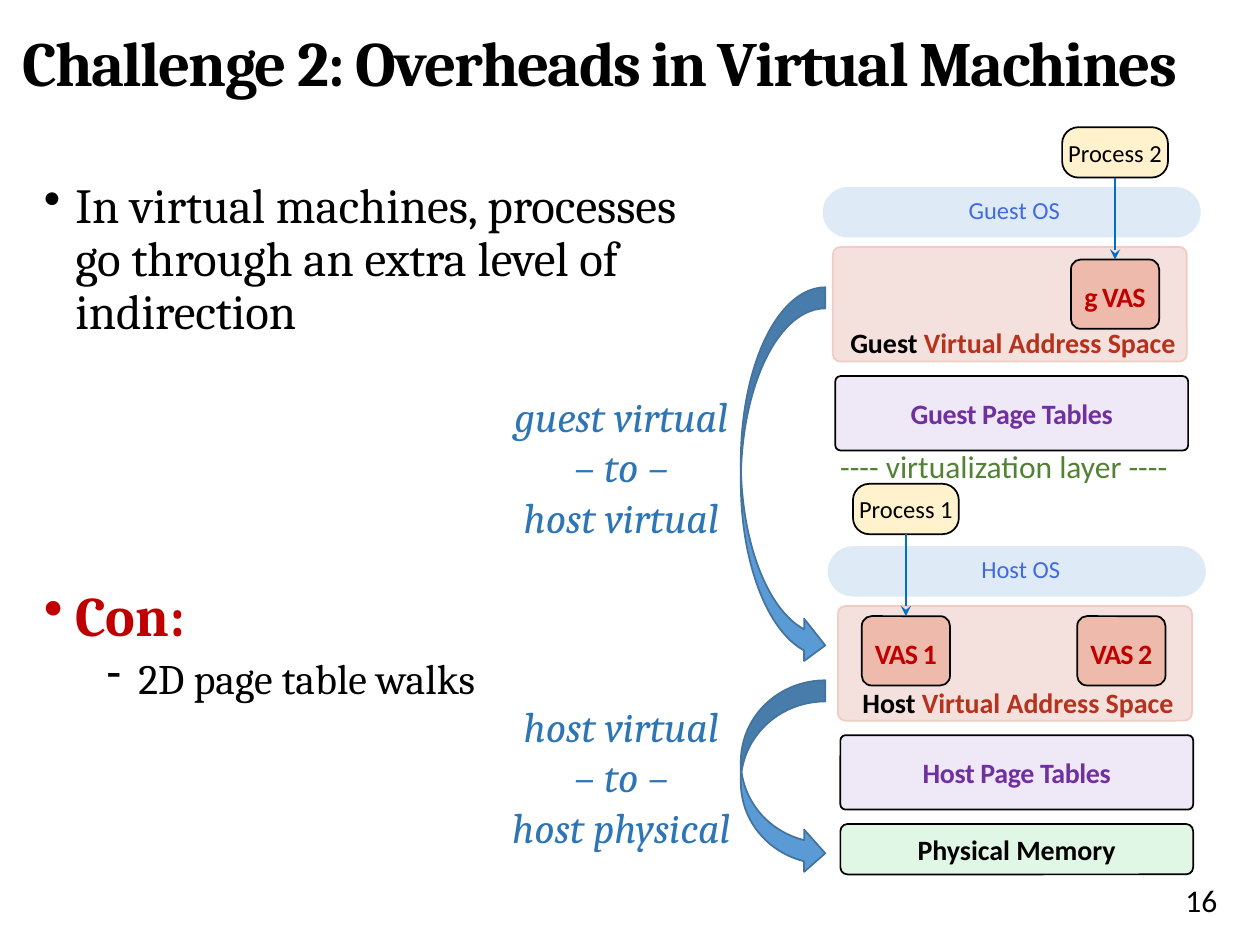
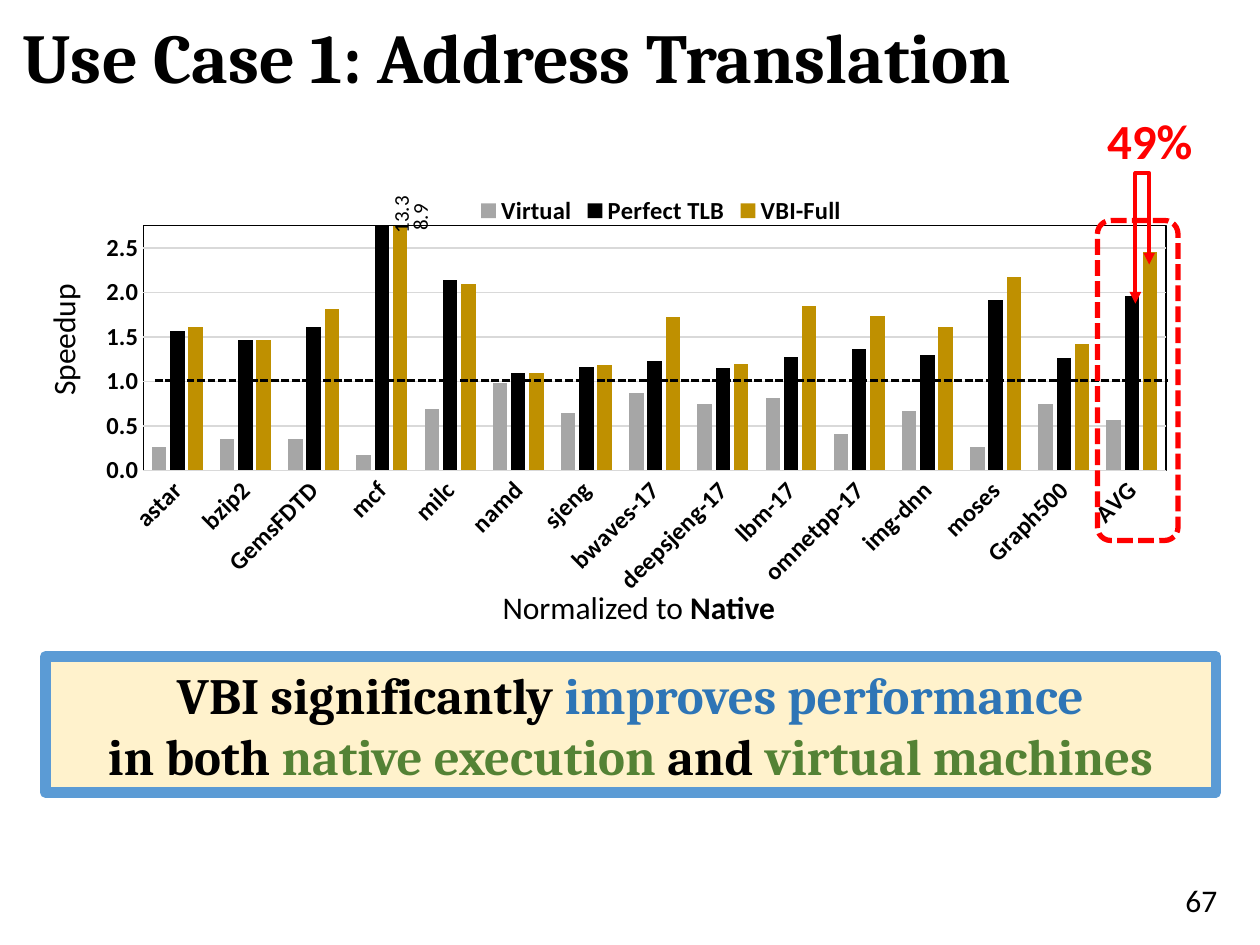
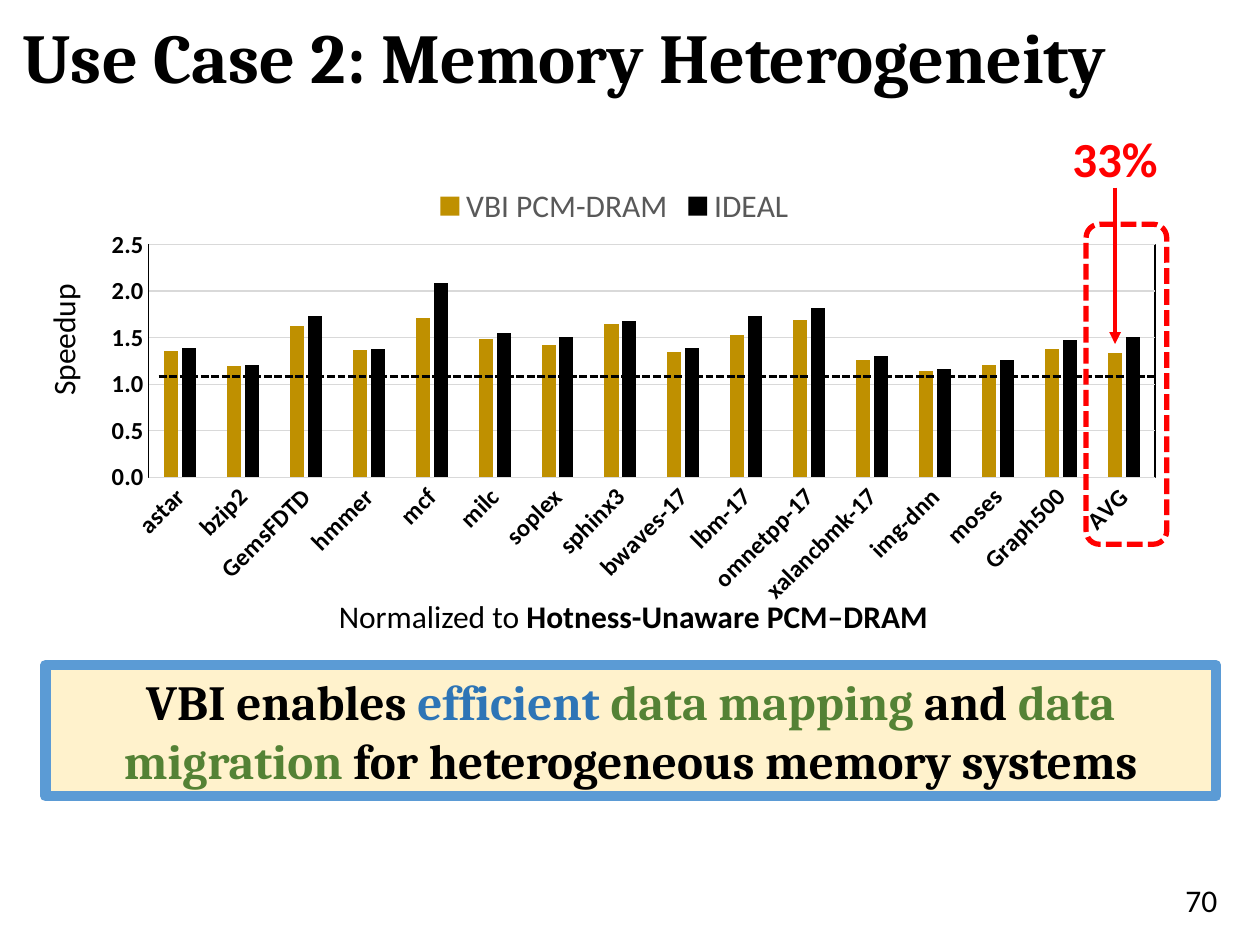
from dataclasses import dataclass

from lxml.etree import SubElement
from pptx import Presentation
from pptx.chart.data import CategoryChartData
from pptx.dml.color import RGBColor
from pptx.enum.chart import XL_CHART_TYPE, XL_LEGEND_POSITION, XL_TICK_MARK
from pptx.enum.dml import MSO_LINE
from pptx.enum.shapes import MSO_CONNECTOR, MSO_SHAPE
from pptx.enum.text import MSO_ANCHOR, PP_ALIGN
from pptx.oxml import parse_xml
from pptx.oxml.ns import nsdecls, qn
from pptx.util import Inches, Pt


@dataclass(frozen=True)
class Theme:
    serif: str = "Cambria"
    sans: str = "Calibri"
    black: str = "000000"
    red: str = "FF0000"
    crimson: str = "C00000"
    rust: str = "B6321D"
    blue: str = "2E75B6"
    green: str = "548235"
    purple: str = "7030A0"
    royal: str = "4169E1"
    arrow: str = "0070C0"
    sky: str = "5B9BD5"
    edge: str = "43739E"
    cream: str = "FFF2CC"
    pale: str = "DEEBF7"
    blush: str = "F4E0DD"
    rim: str = "F1CCC3"
    coral: str = "EDBAAB"
    lilac: str = "EEE8F7"
    mint: str = "E1F7E6"
    gold: str = "BF9000"
    gray: str = "A6A6A6"
    grid: str = "D9D9D9"
    dim: str = "595959"
    tiny: int = 12
    small: int = 14
    label: int = 16
    note: int = 18
    sub: int = 24
    big: int = 28
    head: int = 32


T = Theme()
WIDE, HIGH = Inches(10), Inches(7.5)
COLS, ROWS = 100, 75
MID, LEFT, RIGHT = PP_ALIGN.CENTER, PP_ALIGN.LEFT, PP_ALIGN.RIGHT


# Grid and colour helpers
def col(n):
    return round(WIDE * n / COLS)


def row(n):
    return round(HIGH * n / ROWS)


def place(at):
    x, y, w, h = at
    return col(x), row(y), col(w), row(h)


def rgb(code):
    return RGBColor.from_string(code)


# Text: each line is a string or a list of (words, changes) runs
def style(run, font=T.sans, size=T.note, color=T.black, bold=False,
          italic=False, track=0):
    face = run.font
    face.name, face.size, face.color.rgb = font, Pt(size), rgb(color)
    face.bold, face.italic = bold, italic
    if track:
        run._r.get_or_add_rPr().set("spc", str(round(track * 100)))


def write(frame, *lines, align=LEFT, anchor=MSO_ANCHOR.TOP, inset=None,
          wrap=True, lead=None, **face):
    frame.word_wrap, frame.vertical_anchor = wrap, anchor
    if inset is not None:
        (frame.margin_left, frame.margin_top,
         frame.margin_right, frame.margin_bottom) = map(col, inset)
    for i, line in enumerate(lines):
        para = frame.paragraphs[0] if i == 0 else frame.add_paragraph()
        para.alignment = align
        if lead:
            para.line_spacing = lead
        for words, change in [(line, {})] if isinstance(line, str) else line:
            run = para.add_run()
            run.text = words
            style(run, **{**face, **change})


def text(slide, at, *lines, turn=0, **form):
    box = slide.shapes.add_textbox(*place(at))
    box.rotation = turn
    write(box.text_frame, *lines, **form)


def bullet(para, mark, left, before=0):
    props = para._p.get_or_add_pPr()
    props.set("marL", str(Inches(left)))
    props.set("indent", str(-Inches(0.25)))
    SubElement(props, qn("a:buChar")).set("char", mark)
    para.space_before = Pt(before)


# Shapes and lines
def shape(slide, at, *lines, kind=MSO_SHAPE.ROUNDED_RECTANGLE, fill=None,
          line=None, width=1, dash=None, bend=None, **form):
    item = slide.shapes.add_shape(kind, *place(at))
    item.shadow.inherit = False
    if bend is not None:
        item.adjustments[0] = bend
    if fill:
        item.fill.solid()
        item.fill.fore_color.rgb = rgb(fill)
    else:
        item.fill.background()
    if line:
        item.line.color.rgb, item.line.width = rgb(line), Pt(width)
        if dash:
            item.line.dash_style = dash
    else:
        item.line.fill.background()
    if lines:
        write(item.text_frame, *lines,
              **{"align": MID, "anchor": MSO_ANCHOR.MIDDLE, **form})
    return item


def link(slide, start=(0, 0), stop=(0, 0), kind=MSO_CONNECTOR.STRAIGHT,
         color=T.black, width=1.5, dash=None, head=None, tail=None):
    line = slide.shapes.add_connector(
        kind, col(start[0]), row(start[1]), col(stop[0]), row(stop[1]))
    line.line.color.rgb, line.line.width = rgb(color), Pt(width)
    if dash:
        line.line.dash_style = dash
    for name, tip in (("a:headEnd", head), ("a:tailEnd", tail)):
        if tip:
            SubElement(line.line._ln, qn(name)).set("type", tip)
    SubElement(line._element.spPr, qn("a:effectLst"))
    return line


# Parts shared by the slides
def page(deck, title, number, size=40, **form):
    slide = deck.slides.add_slide(deck.slide_layouts[6])
    text(slide, (0.8, 0.8, 98.3, 8.1), title, font=T.serif, size=size,
         bold=True, anchor=MSO_ANCHOR.MIDDLE, **form)
    text(slide, (60.1, 69.4, 37.5, 4), number, align=RIGHT)
    return slide


def banner(slide, top, high, size, *lines):
    shape(slide, (3.6, top, 92.9, high), *lines, kind=MSO_SHAPE.RECTANGLE,
          fill=T.cream, line=T.sky, width=6, font=T.serif, size=size, bold=True)


# Parts of the virtual machine diagram
def slab(slide, at, words, fill, color, bend=0.07, track=0):
    shape(slide, at, words, fill=fill, line=T.black, bend=bend,
          inset=(0, 0, 0, 0), size=T.label, color=color, bold=True, track=track)


def layer(slide, name, left, top, pad):
    shape(slide, (left - 0.8, top - 4.75, 30, 4), f"{name} OS", fill=T.pale,
          bend=0.5, align=LEFT, inset=(pad, 0, 0, 0), lead=0.8,
          size=T.small, color=T.royal)
    shape(slide, (left, top, 28.1, 9.1),
          [(name, {}), (" Virtual Address Space", {"color": T.rust})],
          fill=T.blush, line=T.rim, bend=0.065, anchor=MSO_ANCHOR.BOTTOM,
          inset=(0.5, 0, 0, 0), lead=0.8, size=T.label, bold=True)
    slab(slide, (left + 0.2, top + 10.25, 28, 5.9), f"{name} Page Tables",
         T.lilac, T.purple, track=-0.2)


def space(slide, name, mid, top):
    return shape(slide, (mid - 3.5, top, 7, 5.5), name, fill=T.coral,
                 line=T.black, bend=0.141, inset=(0, 0.4, 0, 0),
                 size=T.label, color=T.crimson, bold=True, track=-0.5)


def process(slide, name, mid, top, target):
    box = shape(slide, (mid - 4.2, top, 8.4, 4), name, fill=T.cream,
                line=T.black, bend=0.323, inset=(0, 0, 0, 0), wrap=False,
                size=T.small)
    line = link(slide, color=T.arrow, tail="stealth")
    line.begin_connect(box, 2)
    line.end_connect(target, 0)


def mapping(slide, top, high, label, *lines):
    shape(slide, (58.8, top, 6.7, high), kind=MSO_SHAPE.CURVED_RIGHT_ARROW,
          fill=T.sky, line=T.edge)
    text(slide, (37.4, label, 23.8, 13.1), *lines, align=MID,
         font=T.serif, size=T.sub, color=T.blue, italic=True)


# Speedup charts
def layout(x, y, w=None, h=None):
    keys = dict(x=x, y=y, w=w, h=h)
    target = '<c:layoutTarget val="inner"/>' if w else ""
    sizes = "".join(f'<c:{k} val="{v}"/>' for k, v in keys.items() if v)
    return parse_xml(
        f'<c:layout {nsdecls("c")}><c:manualLayout>{target}'
        '<c:xMode val="edge"/><c:yMode val="edge"/>'
        f'{sizes}</c:manualLayout></c:layout>')


def letter(font, size, color=T.black, bold=True):
    font.name, font.size, font.bold = T.sans, Pt(size), bold
    font.color.rgb = rgb(color)


def bars(slide, at, names, series, top, gap, lap, plot, key, key_form):
    data = CategoryChartData(number_format="0.00")
    data.categories = names
    for name, _, values in series:
        data.add_series(name, values)
    chart = slide.shapes.add_chart(
        XL_CHART_TYPE.COLUMN_CLUSTERED, *place(at), data).chart
    letter(chart.font, 10, bold=False)
    chart.has_title = False

    group = chart.plots[0]
    group.gap_width, group.overlap, group.vary_by_categories = gap, lap, False
    for bar, (_, color, _) in zip(group.series, series):
        bar.format.fill.solid()
        bar.format.fill.fore_color.rgb = rgb(color)

    base, scale = chart.category_axis, chart.value_axis
    for axis in (base, scale):
        axis.major_tick_mark = axis.minor_tick_mark = XL_TICK_MARK.NONE
        letter(axis.tick_labels.font, T.small)
    base._element.txPr.find(qn("a:bodyPr")).set("rot", "-2700000")
    scale.minimum_scale, scale.maximum_scale, scale.major_unit = 0, top, 0.5
    scale.tick_labels.number_format = "#,##0.0"
    scale.tick_labels.number_format_is_linked = False
    scale.format.line.fill.background()
    for rule in (base.format.line, scale.major_gridlines.format.line):
        rule.color.rgb, rule.width = rgb(T.grid), Pt(0.75)

    chart.has_legend = True
    legend = chart.legend
    legend.position, legend.include_in_layout = XL_LEGEND_POSITION.TOP, False
    letter(legend.font, **key_form)

    # Fixed places for plot and legend, and a frame round the plot
    area, keys = chart._chartSpace.chart.plotArea, legend._element
    for part in (area, keys):
        for old in part.findall(qn("c:layout")):
            part.remove(old)
    area.insert(0, layout(*plot))
    keys.find(qn("c:legendPos")).addnext(layout(*key))
    area.append(parse_xml(
        f'<c:spPr {nsdecls("c", "a")}><a:noFill/><a:ln w="9525"><a:solidFill>'
        f'<a:srgbClr val="{T.black}"/></a:solidFill></a:ln></c:spPr>'))


def marks(slide, start, stop, level, frame, gain, gain_at, base, base_at):
    """Axis titles, the baseline and the highlighted average."""
    text(slide, (-0.5, 24.9, 11, 4), "Speedup", turn=270, wrap=False)
    text(slide, base_at, [("Normalized to ", {}), (base, {"bold": True})],
         wrap=False)
    link(slide, (start, level), (stop, level), dash=MSO_LINE.SQUARE_DOT)
    shape(slide, (*frame, 6.4, 25.4), line=T.red, width=3,
          dash=MSO_LINE.SQUARE_DOT)
    text(slide, gain_at, gain, align=MID, wrap=False, size=T.big,
         color=T.red, bold=True)


# Slides
def machines(deck):
    slide = page(deck, "Challenge 2: Overheads in Virtual Machines", "16",
                 size=36, track=-1)
    body = slide.shapes.add_textbox(*place((2.5, 13.9, 54, 54.3))).text_frame
    write(body,
          "In virtual machines, processes go through an extra level of indirection",
          [("Con:", {"size": T.head, "color": T.crimson, "bold": True})],
          [("2D page table walks", {"size": T.sub})],
          font=T.serif, size=T.big, lead=0.9)
    for para, form in zip(body.paragraphs,
                          (("•", 0.25), ("•", 0.25, 142), ("-", 0.75, 5))):
        bullet(para, *form)

    layer(slide, "Guest", 66.1, 19.6, 11)
    layer(slide, "Host", 66.5, 48.1, 11.6)
    slab(slide, (66.7, 65.4, 28, 4), "Physical Memory", T.mint, T.black, 0.141)
    text(slide, (65.7, 35, 28.3, 4), "---- virtualization layer ----",
         wrap=False, color=T.green)

    process(slide, "Process 2", 88.5, 10.1, space(slide, "g VAS", 88.5, 20.6))
    process(slide, "Process 1", 71.9, 38.4, space(slide, "VAS 1", 71.9, 48.9))
    space(slide, "VAS 2", 89, 48.9)

    mapping(slide, 22.8, 30.1, 30.5, "guest virtual", "– to –", "host virtual")
    mapping(slide, 54, 15.4, 55.1, "host virtual", "– to –", "host physical")


def address(deck):
    slide = page(deck, "Use Case 1: Address Translation", "67", lead=0.9)
    names = ("astar bzip2 GemsFDTD mcf milc namd sjeng bwaves-17 deepsjeng-17 "
             "lbm-17 omnetpp-17 img-dnn moses Graph500 AVG").split()
    series = (
        ("Virtual", T.gray, (0.26, 0.35, 0.35, 0.17, 0.69, 0.98, 0.65, 0.87,
                             0.75, 0.81, 0.41, 0.67, 0.26, 0.75, 0.57)),
        ("Perfect TLB", T.black, (1.57, 1.47, 1.61, 8.9, 2.14, 1.1, 1.16, 1.23,
                                  1.15, 1.27, 1.36, 1.3, 1.92, 1.26, 1.96)),
        ("VBI-Full", T.gold, (1.61, 1.47, 1.81, 13.38, 2.1, 1.1, 1.18, 1.72,
                              1.2, 1.85, 1.73, 1.61, 2.17, 1.42, 2.45)))
    bars(slide, (7, 13.4, 87.3, 34.7), names, series, 2.75, 119, -26,
         (0.05, 0.13, 0.93, 0.56), (0.35, 0.05), dict(size=T.small))
    marks(slide, 12.3, 92.7, 30.2, (87.1, 17.5), "49%", (86.8, 8.3, 8.9, 5.7),
          "Native", (38.9, 46.2, 23.7, 4))
    for value, at in (("13.3", (29.3, 15.5, 5, 3)), ("8.9", (31.2, 15.7, 4.2, 3))):
        text(slide, at, value, turn=270, wrap=False, size=T.tiny)

    # Double arrow over the two average bars
    fork = link(slide, (92.2, 23.1), (89.1, 22), kind=MSO_CONNECTOR.ELBOW,
                color=T.red, width=2.25, head="triangle", tail="triangle")
    props = fork._element.spPr
    props.find(qn("a:xfrm")).set("rot", "5400000")
    guide = SubElement(props.find(qn("a:prstGeom")).find(qn("a:avLst")), qn("a:gd"))
    guide.set("name", "adj1")
    guide.set("fmla", "val 334200")

    blue, green = {"color": T.blue}, {"color": T.green}
    banner(slide, 52.1, 10.8, 29,
           [("VBI significantly ", {}), ("improves performance", blue)],
           [("in both ", {}), ("native execution", green), (" and ", {}),
            ("virtual machines", green)])


def memory(deck):
    slide = page(deck, "Use Case 2: Memory Heterogeneity", "70", lead=0.9)
    names = ("astar bzip2 GemsFDTD hmmer mcf milc soplex sphinx3 bwaves-17 lbm-17 "
             "omnetpp-17 xalancbmk-17 img-dnn moses Graph500 AVG").split()
    series = (
        ("VBI PCM-DRAM", T.gold, (1.36, 1.19, 1.62, 1.37, 1.71, 1.49, 1.42, 1.65,
                                  1.35, 1.53, 1.69, 1.26, 1.14, 1.21, 1.38, 1.33)),
        ("IDEAL", T.black, (1.39, 1.21, 1.73, 1.38, 2.09, 1.55, 1.51, 1.68,
                            1.39, 1.73, 1.82, 1.3, 1.16, 1.26, 1.48, 1.51)))
    bars(slide, (7.5, 12.9, 85.9, 36.2), names, series, 2.5, 219, -27,
         (0.05, 0.18, 0.93, 0.51), (0.31, 0.04),
         dict(size=T.note, color=T.dim, bold=False))
    marks(slide, 12.6, 91.7, 29.9, (86.2, 17.8), "33%", (83.6, 9.7, 9.8, 5.7),
          "Hotness-Unaware PCM–DRAM", (25.9, 46.9, 49.2, 4))
    link(slide, (88.5, 14.9), (88.5, 27.3), color=T.red, width=2.25,
         tail="triangle")
    green = {"color": T.green}
    banner(slide, 52.8, 10.4, T.big,
           [("VBI enables ", {}), ("efficient ", {"color": T.blue}),
            ("data mapping", green), (" and ", {}), ("data migration", green),
            (" for heterogeneous memory systems", {})])


def main():
    deck = Presentation()
    deck.slide_width, deck.slide_height = WIDE, HIGH
    for build in (machines, address, memory):
        build(deck)
    deck.save("out.pptx")


if __name__ == "__main__":
    main()
